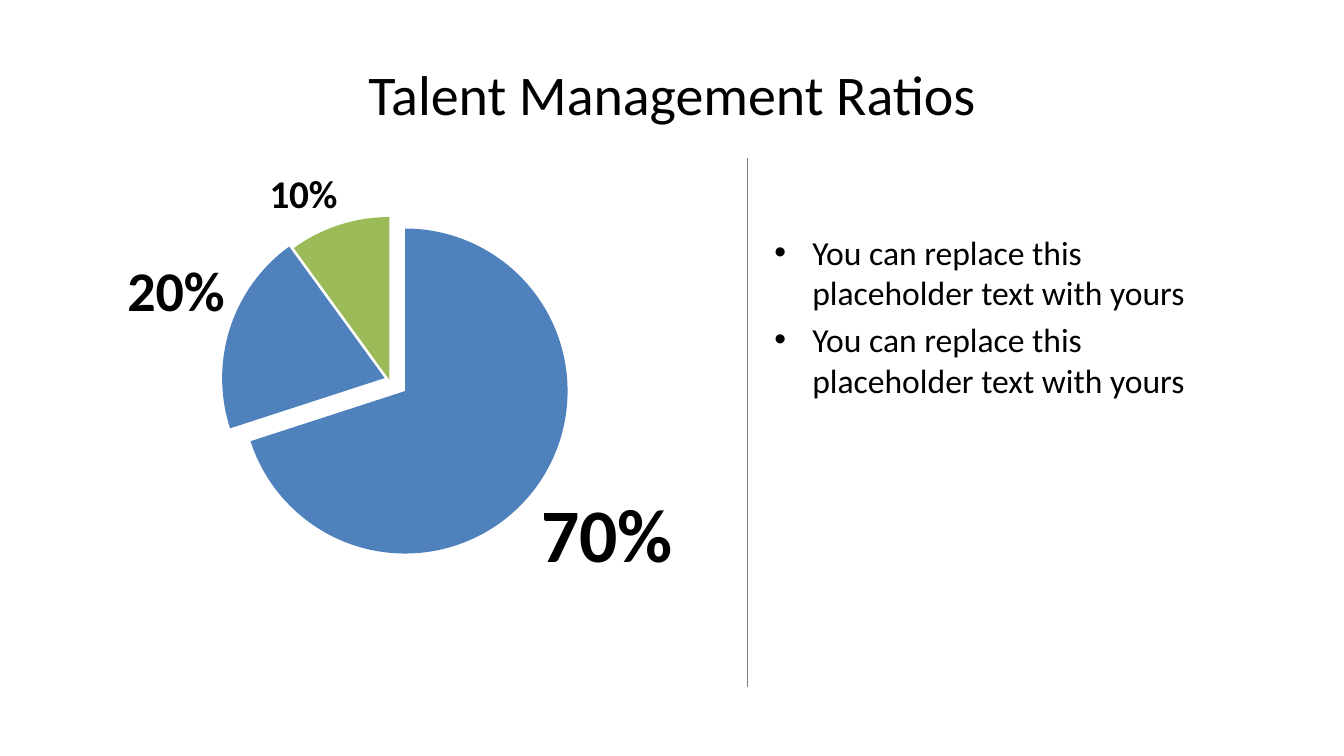
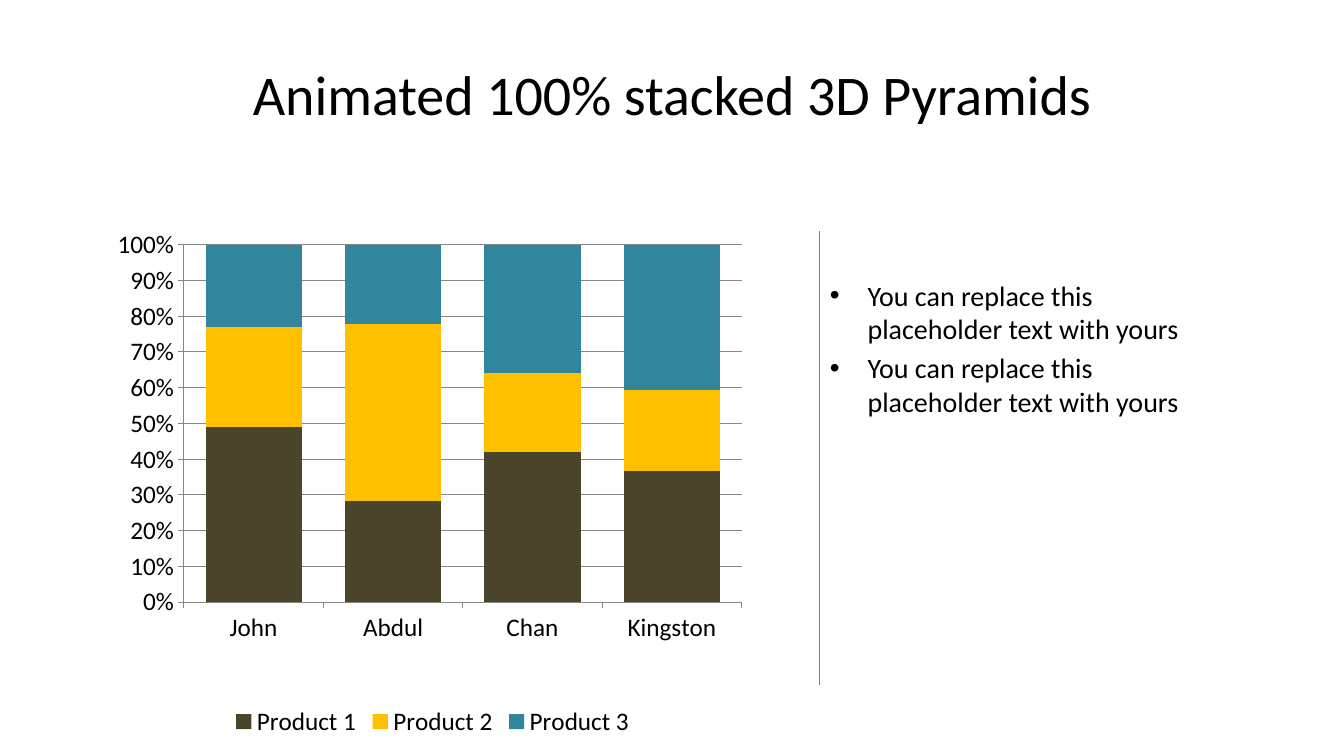
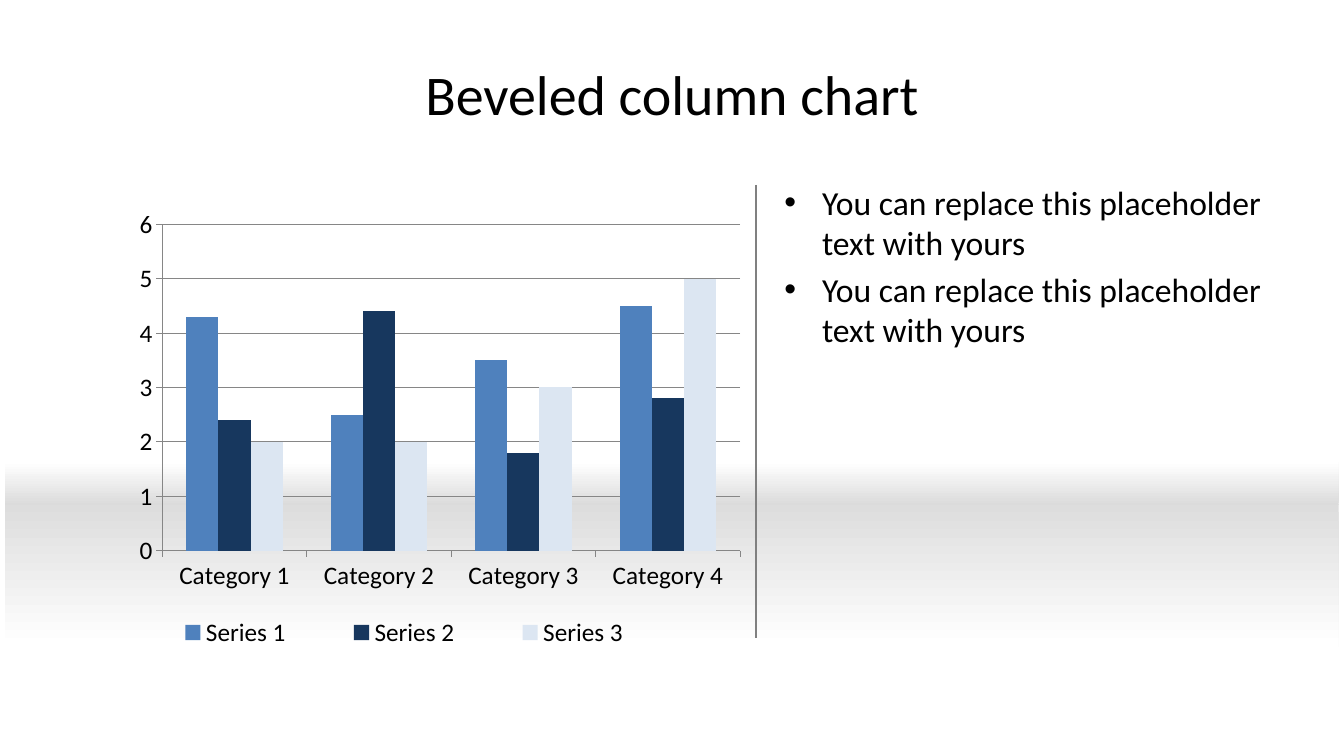
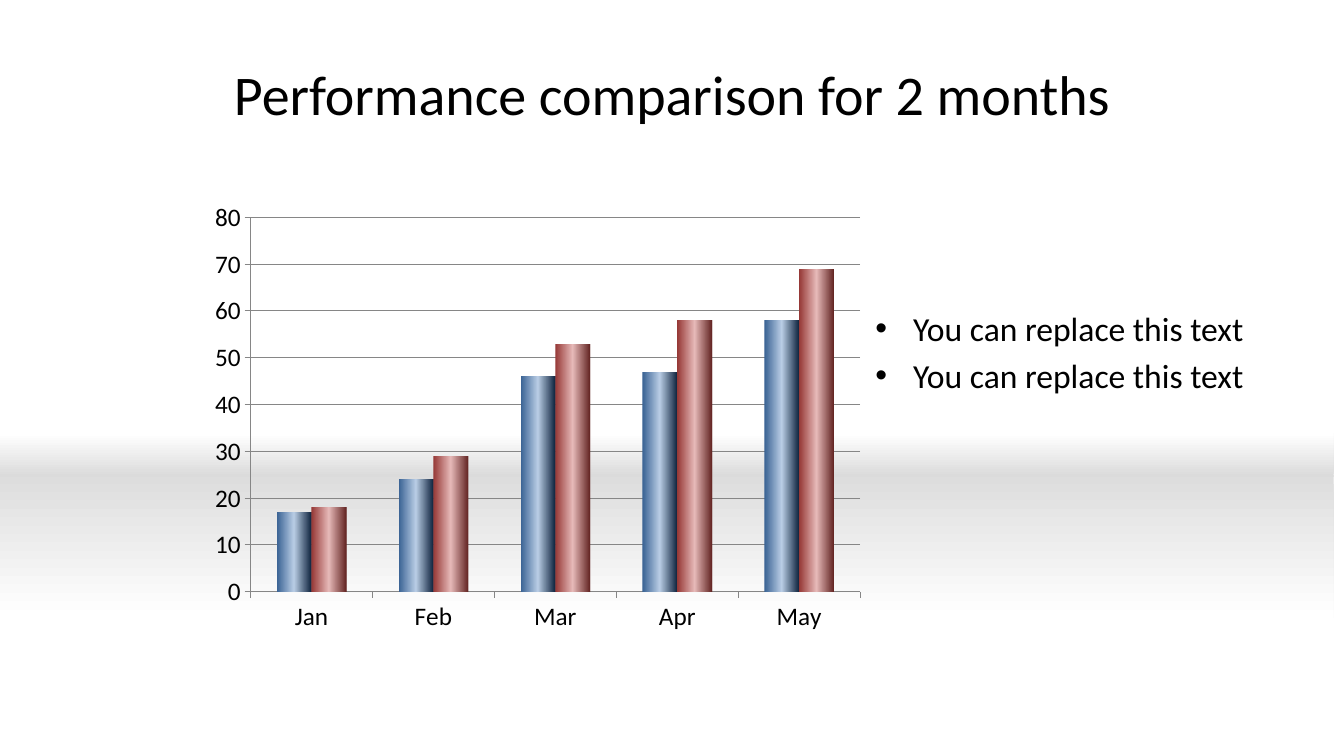
import copy

import pptx
import pptx.chart.data
import pptx.dml.color
import pptx.enum.chart
import pptx.enum.shapes
import pptx.oxml
import pptx.oxml.ns
import pptx.util

Pt = pptx.util.Pt
qn = pptx.oxml.ns.qn
CHART = pptx.enum.chart.XL_CHART_TYPE
LEGEND = pptx.enum.chart.XL_LEGEND_POSITION

FONT = "Calibri"
BLACK, GREY, BLUE = "000000", "808080", "4F81BD"
TITLE_BOX = (48, 21.6, 864, 90)
BAND_WIDTH = 952.6
REPLACE_LONG = "You can replace this placeholder text with yours"
REPLACE_SHORT = "You can replace this text"


def rgb(hex_code):
    return pptx.dml.color.RGBColor.from_string(hex_code)


def shade(fill, owner, hex_codes, angle):
    """Give a fill evenly spaced gradient stops."""
    fill.gradient()
    stop_list = next(owner.iter(qn("a:gsLst")))
    while len(stop_list) < len(hex_codes):
        stop_list.append(copy.deepcopy(stop_list[0]))
    for number, (stop, code) in enumerate(zip(fill.gradient_stops, hex_codes)):
        stop.color.rgb = rgb(code)
        stop.position = number / (len(hex_codes) - 1)
    fill.gradient_angle = angle


pages = [
    dict(title="Talent Management Ratios", bullet=REPLACE_LONG, size=24,
         body=(546, 162, 348, 308), divider=(534, 113, 491),
         chart=(0, 120, 540, 378), kind=CHART.PIE, plot=(0.3, 0.09, 0.43, 0.62),
         categories=["1", "2", "3"], series=[([70, 20, 10], None)]),
    dict(title="Animated 100% stacked 3D Pyramids", bullet=REPLACE_LONG, size=20,
         body=(585.5, 195, 299, 294), divider=(585.5, 165, 489),
         chart=(69, 160, 480, 370), kind=CHART.COLUMN_STACKED_100,
         plot=(0.13, 0.04, 0.83, 0.69), legend=LEGEND.BOTTOM,
         gap=45, overlap=100, scale="0%", names="Product",
         categories=["John", "Abdul", "Chan", "Kingston"],
         series=[([49, 28, 42, 37], ["4A452A"]),
                 ([28, 49, 22, 23], ["FFC000"]),
                 ([23, 22, 36, 41], ["31859C"])]),
    dict(title="Beveled column chart", bullet=REPLACE_LONG, size=24,
         body=(553, 126, 359, 366), divider=(540, 132, 456), band=(3.6, 330),
         chart=(65.5, 144, 480, 324), kind=CHART.COLUMN_CLUSTERED,
         plot=(0.105, 0.05, 0.86, 0.72), legend=LEGEND.RIGHT,
         legend_box=(0.05, 0.9, 0.83, 0.1),
         categories=["Category 1", "Category 2", "Category 3", "Category 4"],
         series=[([4.3, 2.5, 3.5, 4.5], [BLUE]),
                 ([2.4, 4.4, 1.8, 2.8], ["17375E"]),
                 ([2, 2, 3, 5], ["DCE6F2"])]),
    dict(title="Performance comparison for 2 months", bullet=REPLACE_SHORT, size=24,
         body=(618, 216, 282, 266), band=(0, 309.5),
         chart=(144, 138, 480, 320), kind=CHART.COLUMN_CLUSTERED,
         categories=["Jan", "Feb", "Mar", "Apr", "May"],
         series=[([17, 24, 46, 47, 58], ["376092", "B9CDE5", "0F243E"]),
                 ([18, 29, 53, 58, 69], ["953735", "E6B9B8", "632523"])]),
]

deck = pptx.Presentation()
deck.slide_width, deck.slide_height = Pt(960), Pt(540)

for page in pages:
    slide = deck.slides.add_slide(deck.slide_layouts[1])
    title, body = slide.placeholders

    # Title and bullet list
    for holder, box, lines, size in ((title, TITLE_BOX, [page["title"]], 40),
                                     (body, page["body"], [page["bullet"]] * 2, page["size"])):
        holder.left, holder.top, holder.width, holder.height = map(Pt, box)
        frame = holder.text_frame
        for number, line in enumerate(lines):
            paragraph = frame.add_paragraph() if number else frame.paragraphs[0]
            if number == 0:
                paragraph.space_before = Pt(0)
            run = paragraph.add_run()
            run.text = line
            run.font.name, run.font.size = FONT, Pt(size)
            run.font.color.rgb = rgb(BLACK)

    # Floor band behind everything: a long fade down and a short fade up
    if "band" in page:
        left, horizon = page["band"]
        floor = slide.shapes.add_group_shape()
        for top, height, tint, angle in ((horizon + 30, 102, "DDDDDD", 270),
                                         (horizon, 31, "DBDBDB", 90)):
            fade = floor.shapes.add_shape(pptx.enum.shapes.MSO_SHAPE.RECTANGLE,
                                          Pt(left), Pt(top), Pt(BAND_WIDTH), Pt(height))
            fade.shadow.inherit = False
            fade.line.fill.background()
            shade(fade.fill, fade.element, [tint, "FFFFFF"], angle)
        title.element.addprevious(floor.element)

    # Chart
    data = pptx.chart.data.CategoryChartData()
    data.categories = page["categories"]
    for number, (values, _) in enumerate(page["series"], 1):
        data.add_series(f"{page.get('names', 'Series')} {number}", values)
    chart = slide.shapes.add_chart(page["kind"], *map(Pt, page["chart"]), data).chart
    chart.has_title = False
    chart.font.name, chart.font.size = FONT, Pt(18)
    chart.font.color.rgb = rgb(BLACK)
    plot = chart.plots[0]
    plot.vary_by_categories = False

    chart.has_legend = "legend" in page
    if chart.has_legend:
        chart.legend.position = page["legend"]
        chart.legend.include_in_layout = False

    if page["kind"] == CHART.PIE:
        ratios = plot.series[0]
        labels = ratios.data_labels
        labels.show_percentage, labels.show_value = True, False
        labels.position = pptx.enum.chart.XL_LABEL_POSITION.OUTSIDE_END
        slices = ((BLUE, 12, 54), (BLUE, 3, 40), ("9BBB59", 0, 28))
        for number, (code, explosion, size) in enumerate(slices):
            point = ratios.points[number]
            point.format.fill.solid()
            point.format.fill.fore_color.rgb = rgb(code)
            point.data_label.position = labels.position
            font = point.data_label.font
            font.name, font.size, font.bold = FONT, Pt(size), True
            font.color.rgb = rgb(BLACK)
            offset = pptx.oxml.parse_xml(
                f'<c:explosion {pptx.oxml.ns.nsdecls("c")} val="{explosion}"/>')
            list(chart.element.iter(qn("c:dPt")))[number].find(qn("c:spPr")).addprevious(offset)
        for label in chart.element.iter(qn("c:dLbl")):
            label.find(qn("c:showVal")).set("val", "0")
            label.find(qn("c:showPercent")).set("val", "1")
    else:
        plot.gap_width = page.get("gap", 150)
        plot.overlap = page.get("overlap", 0)
        for series, (_, codes) in zip(plot.series, page["series"]):
            fill = series.format.fill
            if len(codes) == 1:
                fill.solid()
                fill.fore_color.rgb = rgb(codes[0])
            else:
                shade(fill, series.format.element if hasattr(series.format, "element")
                      else list(chart.element.iter(qn("c:ser")))[series.index], codes, 0)
        scale = chart.value_axis
        scale.tick_labels.number_format = page.get("scale", "General")
        scale.tick_labels.number_format_is_linked = False
        for line in (scale.format.line, scale.major_gridlines.format.line,
                     chart.category_axis.format.line):
            line.color.rgb, line.width = rgb("868686"), Pt(0.75)

    # Fixed places for the plot area and the legend
    for part, key in (("c:plotArea", "plot"), ("c:legend", "legend_box")):
        if key not in page:
            continue
        area = next(chart.element.iter(qn(part)))
        for old in area.findall(qn("c:layout")):
            area.remove(old)
        target = '<c:layoutTarget val="inner"/>' if key == "plot" else ""
        sizes = "".join(f'<c:{tag} val="{value}"/>' for tag, value in zip("xywh", page[key]))
        layout = pptx.oxml.parse_xml(
            f'<c:layout {pptx.oxml.ns.nsdecls("c")}><c:manualLayout>{target}'
            f'<c:xMode val="edge"/><c:yMode val="edge"/>{sizes}</c:manualLayout></c:layout>')
        area.insert(0 if key == "plot" else 1, layout)

    # Divider between chart and list
    if "divider" in page:
        x, top, bottom = page["divider"]
        divider = slide.shapes.add_connector(pptx.enum.shapes.MSO_CONNECTOR.STRAIGHT,
                                             Pt(x), Pt(top), Pt(x), Pt(bottom))
        divider.line.color.rgb, divider.line.width = rgb(GREY), Pt(0.75)
        divider.element.spPr.append(pptx.oxml.parse_xml(
            f'<a:effectLst {pptx.oxml.ns.nsdecls("a")}/>'))

deck.save("out.pptx")
